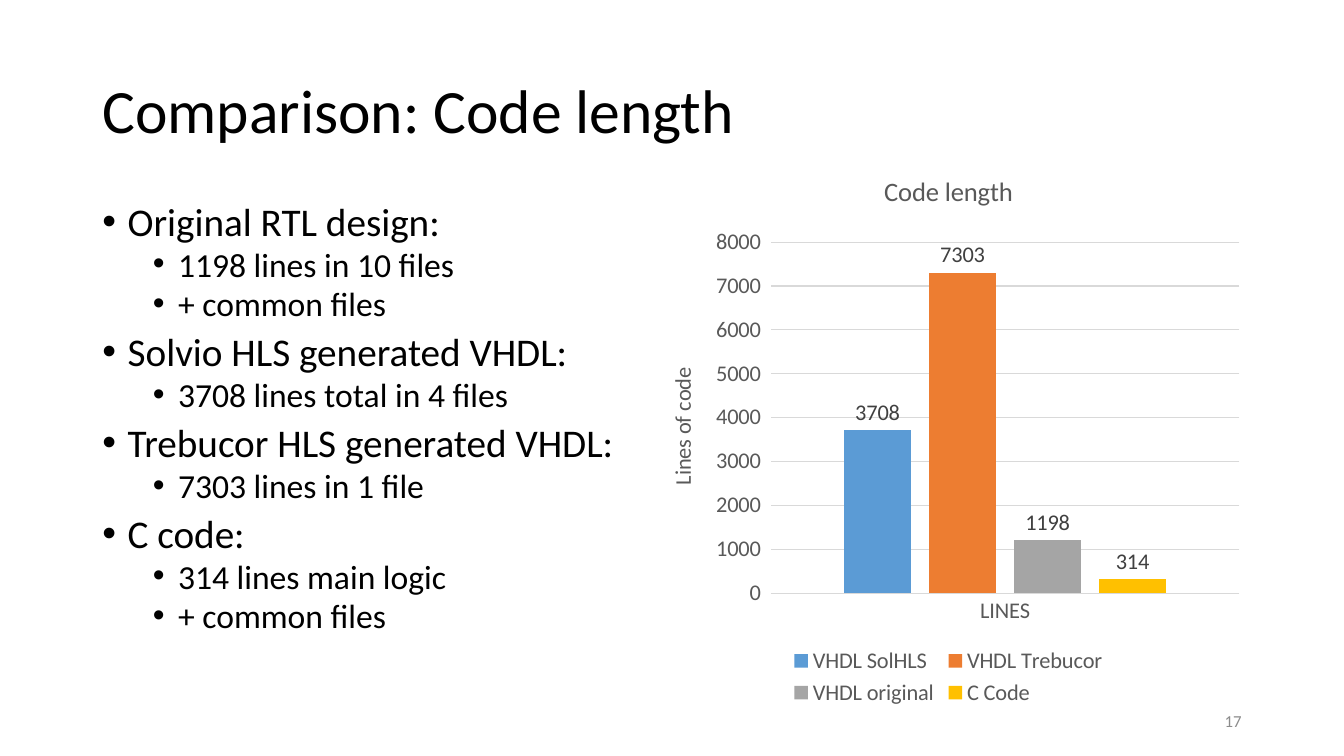
from dataclasses import dataclass

from lxml import etree
from pptx import Presentation
from pptx.chart.data import CategoryChartData
from pptx.dml.color import RGBColor
from pptx.enum.chart import (XL_CHART_TYPE, XL_LABEL_POSITION,
                             XL_LEGEND_POSITION, XL_TICK_MARK)
from pptx.enum.text import MSO_ANCHOR, MSO_AUTO_SIZE, PP_ALIGN
from pptx.oxml.ns import qn
from pptx.util import Pt

COLUMNS = XL_CHART_TYPE.COLUMN_CLUSTERED
OUTSIDE_END = XL_LABEL_POSITION.OUTSIDE_END
BOTTOM = XL_LEGEND_POSITION.BOTTOM
NO_TICK = XL_TICK_MARK.NONE
MIDDLE, TOP = MSO_ANCHOR.MIDDLE, MSO_ANCHOR.TOP
LEFT, RIGHT = PP_ALIGN.LEFT, PP_ALIGN.RIGHT
NO_FIT = MSO_AUTO_SIZE.NONE


@dataclass(frozen=True)
class Theme:
    font: str = "Calibri"
    text: str = "000000"
    number: str = "8C8C8C"
    chart_text: str = "595959"
    label: str = "404040"
    grid: str = "D9D9D9"
    title_size: float = 44
    body_sizes: tuple = (28, 24)
    number_size: float = 12
    chart_title_size: float = 19
    chart_size: float = 16


THEME = Theme()

BULLETS = [
    ("Original RTL design:", ["1198 lines in 10 files", "+ common files"]),
    ("Solvio HLS generated VHDL:", ["3708 lines total in 4 files"]),
    ("Trebucor HLS generated VHDL:", ["7303 lines in 1 file"]),
    ("C code:", ["314 lines main logic", "+ common files"]),
]
SERIES = [
    ("VHDL SolHLS", 3708, "5B9BD5"),
    ("VHDL Trebucor", 7303, "ED7D31"),
    ("VHDL original", 1198, "A5A5A5"),
    ("C Code", 314, "FFC000"),
]


def style_font(font, size, color):
    font.name = THEME.font
    font.size = Pt(size)
    font.bold = False
    font.color.rgb = RGBColor.from_string(color)


def add_run(p, text, size, color):
    r = p.add_run()
    r.text = text
    style_font(r.font, size, color)


def place(sp, box):
    sp.left, sp.top, sp.width, sp.height = (Pt(v) for v in box)


def setup_frame(sp, anchor):
    tf = sp.text_frame
    tf.word_wrap = True
    tf.auto_size = NO_FIT
    tf.vertical_anchor = anchor
    return tf


def add_title(sp, box, text):
    place(sp, box)
    p = setup_frame(sp, MIDDLE).paragraphs[0]
    p.alignment = LEFT
    p.line_spacing = 0.9
    add_run(p, text, THEME.title_size, THEME.text)


def add_bullet(p, text, level):
    p.level = level
    p.alignment = LEFT
    p.line_spacing = 0.8
    p.space_before = Pt((10, 5)[level])
    p.space_after = Pt(0)
    pPr = p._p.get_or_add_pPr()
    pPr.set("marL", str(Pt(18 + 36 * level)))
    pPr.set("indent", str(Pt(-18)))
    etree.SubElement(pPr, qn("a:buFont")).set("typeface", "Arial")
    etree.SubElement(pPr, qn("a:buChar")).set("char", "•")
    add_run(p, text, THEME.body_sizes[level], THEME.text)


def add_body(sp, box):
    place(sp, box)
    tf = setup_frame(sp, TOP)
    lines = []
    for heading, details in BULLETS:
        lines.append((heading, 0))
        lines += [(detail, 1) for detail in details]
    for i, (text, level) in enumerate(lines):
        p = tf.add_paragraph() if i else tf.paragraphs[0]
        add_bullet(p, text, level)


def add_chart_title(owner, text, size):
    p = owner.text_frame.paragraphs[0]
    add_run(p, text, size, THEME.chart_text)


def add_length_chart(slide, box):
    data = CategoryChartData(number_format="General")
    data.categories = ["LINES"]
    for name, value, _ in SERIES:
        data.add_series(name, [value])
    frame = slide.shapes.add_chart(COLUMNS, *(Pt(v) for v in box), data)
    chart = frame.chart
    style_font(chart.font, THEME.chart_size, THEME.chart_text)

    # Title and legend
    chart.has_title = True
    chart.chart_title.include_in_layout = False
    add_chart_title(chart.chart_title, "Code length", THEME.chart_title_size)
    chart.has_legend = True
    chart.legend.position = BOTTOM
    chart.legend.include_in_layout = False
    style_font(chart.legend.font, THEME.chart_size, THEME.chart_text)

    # Axes
    grid = RGBColor.from_string(THEME.grid)
    cat, val = chart.category_axis, chart.value_axis
    cat.major_tick_mark = NO_TICK
    val.has_major_gridlines = True
    for line in (cat.format.line, val.major_gridlines.format.line):
        line.color.rgb = grid
        line.width = Pt(0.75)
    val.format.line.fill.background()
    val.has_title = True
    add_chart_title(val.axis_title, "Lines of code", THEME.chart_size)
    body = val.axis_title.text_frame._txBody.find(qn("a:bodyPr"))
    body.set("rot", "-5400000")
    body.set("vert", "horz")

    # Columns
    plot = chart.plots[0]
    plot.gap_width = 219
    plot.overlap = -27
    plot.vary_by_categories = False
    for series, (_, _, color) in zip(plot.series, SERIES):
        series.format.fill.solid()
        series.format.fill.fore_color.rgb = RGBColor.from_string(color)
        labels = series.data_labels
        labels.show_value = True
        labels.position = OUTSIDE_END
        style_font(labels.font, THEME.chart_size, THEME.label)


def add_slide_number(slide, box, number):
    sp = slide.shapes.add_textbox(*(Pt(v) for v in box))
    p = setup_frame(sp, MIDDLE).paragraphs[0]
    p.alignment = RIGHT
    add_run(p, number, THEME.number_size, THEME.number)


def build_comparison_slide(prs, box):
    slide = prs.slides.add_slide(prs.slide_layouts[1])
    left, top, width, height = box
    right = left + width
    add_title(slide.shapes.title, (left, top, width, 104.4), "Comparison: Code length")
    add_body(slide.placeholders[1], (left, top + 115.2, 457.2, 342.7))
    add_slide_number(slide, (right - 216, top + height - 28.8, 216, 28.8), "17")
    add_length_chart(slide, (right - 433, top + 80, 433, 399))


def main():
    prs = Presentation()
    prs.slide_width, prs.slide_height = Pt(960), Pt(540)
    build_comparison_slide(prs, (66, 28.8, 828, 500.4))
    prs.save("out.pptx")


if __name__ == "__main__":
    main()
